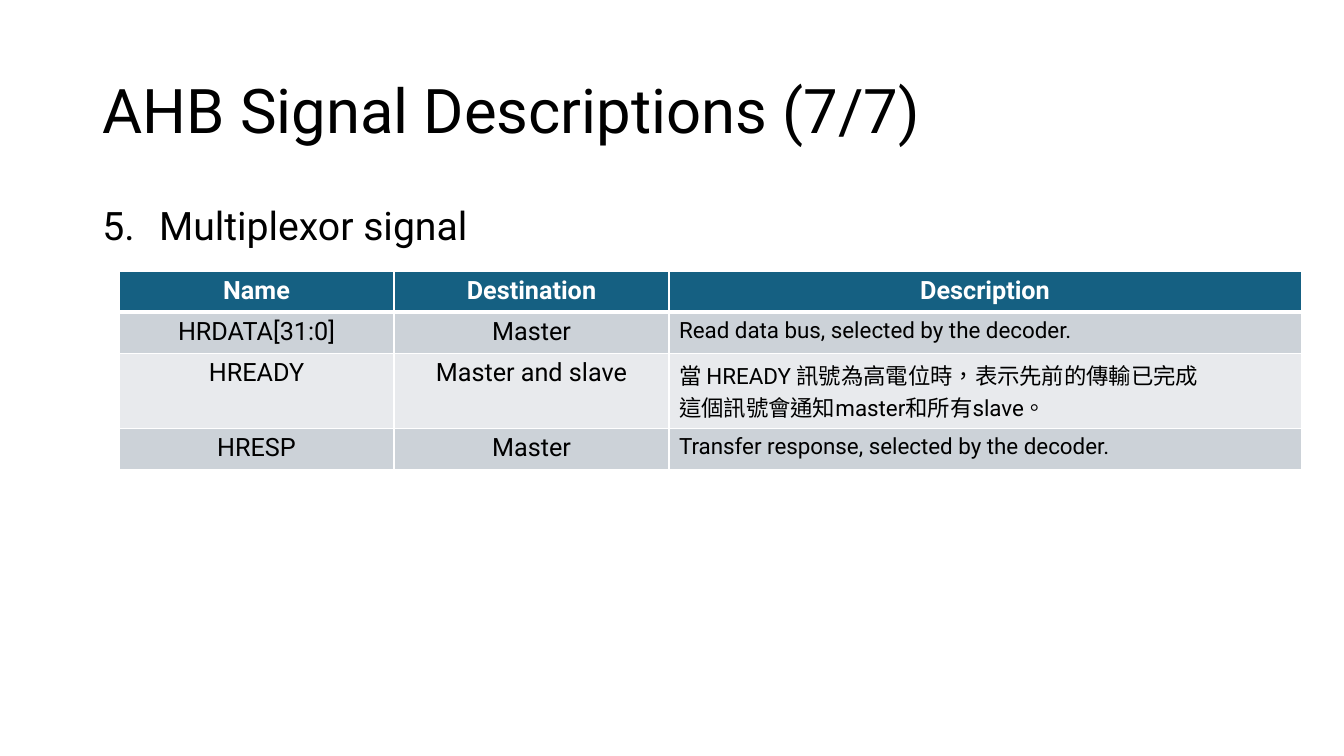
"""Build the slide that lists the AHB multiplexor signals."""
from dataclasses import dataclass

from lxml import etree
from pptx import Presentation
from pptx.dml.color import RGBColor
from pptx.enum.lang import MSO_LANGUAGE_ID
from pptx.enum.text import MSO_ANCHOR, PP_ALIGN
from pptx.oxml.ns import qn
from pptx.util import Cm, Pt

CENTER, LEFT = PP_ALIGN.CENTER, PP_ALIGN.LEFT
TOP, MIDDLE = MSO_ANCHOR.TOP, MSO_ANCHOR.MIDDLE
CHINESE = MSO_LANGUAGE_ID.TRADITIONAL_CHINESE
FONT = "Roboto"
BLACK, WHITE = "000000", "FFFFFF"
HEADER_FILL = "156082"
BAND_FILLS = ("CCD2D8", "E8EAED")
COLUMN_WIDTHS = (6.93, 6.93, 15.93)
TEXT_LEFT, TEXT_WIDTH = 2.33, 29.21


@dataclass(frozen=True)
class Signal:
    name: str
    destination: str
    description: tuple[str, ...]
    height: float = 1.04


@dataclass(frozen=True)
class Heading:
    text: str
    top: float
    height: float
    size: float
    anchor: MSO_ANCHOR
    space_before: float = 0
    number: int | None = None


HEADINGS = (
    Heading("AHB Signal Descriptions (7/7)", 1.01, 3.68, 44, MIDDLE),
    Heading("Multiplexor signal", 5.07, 12.09, 28, TOP, 10, 5),
)
SIGNALS = (
    Signal("Name", "Destination", ("Description",)),
    Signal("HRDATA[31:0]", "Master", ("Read data bus, selected by the decoder.",)),
    Signal("HREADY", "Master and slave",
           ("當 HREADY 訊號為高電位時，表示先前的傳輸已完成",
            "這個訊號會通知master和所有slave。"), 1.89),
    Signal("HRESP", "Master", ("Transfer response, selected by the decoder.",)),
)


def color(value: str) -> RGBColor:
    """Turn a hex string into a colour."""
    return RGBColor.from_string(value)


def add_span(para, text: str, size: float, ink: str = BLACK, bold: bool = False) -> None:
    """Add one formatted run to a paragraph."""
    span = para.add_run()
    span.text = text
    span.font.name = FONT
    span.font.size = Pt(size)
    span.font.bold = bold
    span.font.color.rgb = color(ink)
    if not text.isascii():
        span.font.language_id = CHINESE


def number_paragraph(para, start: int) -> None:
    """Give a paragraph an automatic number and a hanging indent."""
    properties = para._p.get_or_add_pPr()
    properties.set("marL", str(Cm(1.43)))
    properties.set("indent", str(Cm(-1.43)))
    etree.SubElement(properties, qn("a:buFont"), typeface="+mj-lt")
    etree.SubElement(properties, qn("a:buAutoNum"), type="arabicPeriod", startAt=str(start))


def add_heading(page, heading: Heading) -> None:
    """Place one heading text box."""
    box = page.shapes.add_textbox(
        Cm(TEXT_LEFT), Cm(heading.top), Cm(TEXT_WIDTH), Cm(heading.height))
    frame = box.text_frame
    frame.word_wrap = True
    frame.vertical_anchor = heading.anchor
    para = frame.paragraphs[0]
    para.line_spacing = 0.9
    para.space_before = Pt(heading.space_before)
    if heading.number is not None:
        number_paragraph(para, heading.number)
    add_span(para, heading.text, heading.size)


def add_borders(cell, bottom: float) -> None:
    """Draw white lines on the four sides of a cell."""
    properties = cell._tc.get_or_add_tcPr()
    for side, width in (("L", 1), ("R", 1), ("T", 1), ("B", bottom)):
        line = etree.SubElement(properties, qn(f"a:ln{side}"), w=str(Pt(width)))
        fill = etree.SubElement(line, qn("a:solidFill"))
        etree.SubElement(fill, qn("a:srgbClr"), val=WHITE)


def fill_cell(cell, lines: tuple[str, ...], row: int, column: int) -> None:
    """Write and format one table cell."""
    header = row == 0
    add_borders(cell, 3 if header else 1)
    cell.fill.solid()
    cell.fill.fore_color.rgb = color(HEADER_FILL if header else BAND_FILLS[(row - 1) % 2])
    prose = column == 2 and not header
    frame = cell.text_frame
    for index, line in enumerate(lines):
        para = frame.add_paragraph() if index else frame.paragraphs[0]
        para.alignment = LEFT if prose else CENTER
        add_span(para, line, 16 if prose else 18, WHITE if header else BLACK, header)


def add_signal_table(page) -> None:
    """Place the table of signals."""
    table = page.shapes.add_table(
        len(SIGNALS), len(COLUMN_WIDTHS), Cm(3), Cm(6.83), Cm(sum(COLUMN_WIDTHS)),
        Cm(sum(signal.height for signal in SIGNALS))).table
    for column, width in enumerate(COLUMN_WIDTHS):
        table.columns[column].width = Cm(width)
    for row, signal in enumerate(SIGNALS):
        table.rows[row].height = Cm(signal.height)
        contents = ((signal.name,), (signal.destination,), signal.description)
        for column, lines in enumerate(contents):
            fill_cell(table.cell(row, column), lines, row, column)


def main() -> None:
    """Build and save the deck."""
    deck = Presentation()
    deck.slide_width, deck.slide_height = Cm(33.87), Cm(19.05)
    page = deck.slides.add_slide(deck.slide_layouts[6])
    for heading in HEADINGS:
        add_heading(page, heading)
    add_signal_table(page)
    deck.save("out.pptx")


if __name__ == "__main__":
    main()
